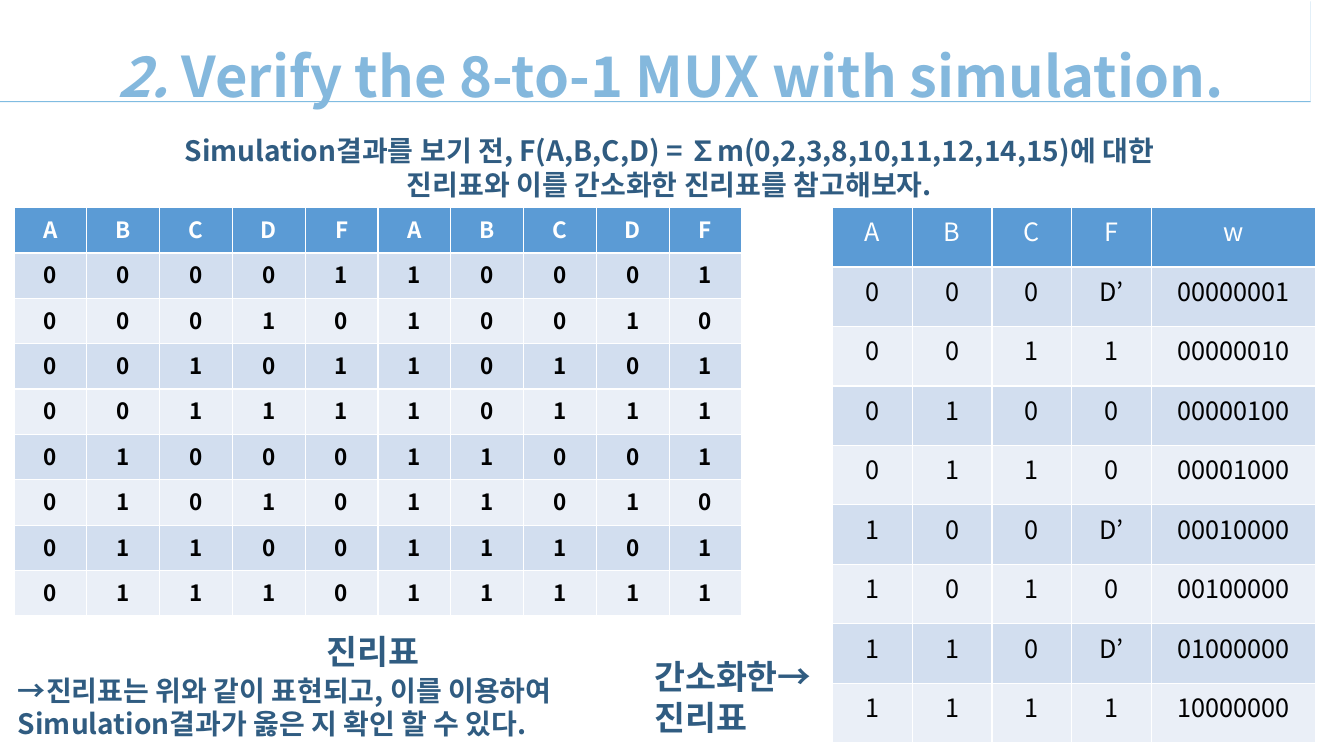
import pptx
import pptx.dml.color
import pptx.enum.text
import pptx.oxml
import pptx.util
from pptx.oxml.ns import nsdecls, qn

Inches = pptx.util.Inches
RGBColor = pptx.dml.color.RGBColor
ALIGN = pptx.enum.text.PP_ALIGN

FONT = "Noto Sans CJK KR"
WHITE = RGBColor(0xFF, 0xFF, 0xFF)
BLACK = RGBColor(0x00, 0x00, 0x00)
SKY = RGBColor(0x84, 0xB8, 0xDD)
NAVY = RGBColor(0x30, 0x5C, 0x81)
HEADER_BLUE = RGBColor(0x5B, 0x9B, 0xD5)
BANDS = [RGBColor(0xD2, 0xDE, 0xEF), RGBColor(0xEA, 0xEF, 0xF7)]

MINTERMS = {0, 2, 3, 8, 10, 11, 12, 14, 15}
SIMPLIFIED_F = ["D’", "1", "0", "0", "D’", "0", "D’", "1"]


def format_text(frame, size, color, bold, align):
    for para in frame.paragraphs:
        para.alignment = align
        for span in para.runs:
            span.font.size = pptx.util.Pt(size)
            span.font.bold = bold
            span.font.color.rgb = color
            span.font.name = FONT
            east_asian = span.font._element.makeelement(qn("a:ea"), {"typeface": FONT})
            span.font._element.find(qn("a:latin")).addnext(east_asian)


def add_truth_table(page, left, column_widths, row_height, rows, size, bold):
    table = page.shapes.add_table(
        len(rows), len(column_widths), Inches(left), Inches(2.06),
        Inches(sum(column_widths)), Inches(row_height * len(rows))).table
    for column, width in zip(table.columns, column_widths):
        column.width = Inches(width)
    for index, values in enumerate(rows):
        table.rows[index].height = Inches(row_height)
        for cell, value in zip(table.rows[index].cells, values):
            cell.text_frame.text = value
            cell.fill.solid()
            cell.fill.fore_color.rgb = BANDS[(index - 1) % 2] if index else HEADER_BLUE
            format_text(cell.text_frame, size, BLACK if index else WHITE, bold, ALIGN.CENTER)


deck = pptx.Presentation()
deck.slide_width, deck.slide_height = Inches(13.33), Inches(7.5)
page = deck.slides.add_slide(deck.slide_layouts[5])

# Header band with a small notch, edged by a thin shadow
builder = page.shapes.build_freeform(0, 0, scale=Inches(1))
builder.add_line_segments(
    [(13.33, 0), (13.33, 1.18), (7.01, 1.18), (6.67, 1.28), (6.33, 1.18), (0, 1.18)])
header = builder.convert_to_shape()
header.fill.solid()
header.fill.fore_color.rgb = WHITE
header.line.fill.background()
header._element.spPr.append(pptx.oxml.parse_xml(
    f'<a:effectLst {nsdecls("a")}><a:outerShdw blurRad="0" dist="12700" dir="5400000" '
    'algn="t" rotWithShape="0"><a:srgbClr val="80BCE1"/></a:outerShdw></a:effectLst>'))
page.shapes._spTree.insert(2, header._element)

title = page.shapes.title
title.left, title.top = Inches(1.07), Inches(0.23)
title.width, title.height = Inches(11.19), Inches(0.83)
title.text_frame.vertical_anchor = pptx.enum.text.MSO_ANCHOR.TOP
title.text_frame.auto_size = pptx.enum.text.MSO_AUTO_SIZE.SHAPE_TO_FIT_TEXT
heading = title.text_frame.paragraphs[0]
heading.line_spacing = 1.2
for words, italic in [("2. ", True), ("Verify the 8-to-1 MUX with simulation.", False)]:
    span = heading.add_run()
    span.text = words
    span.font.italic = italic
format_text(title.text_frame, 40, SKY, True, ALIGN.LEFT)

# Explanations: left, top, width, height, size, wrap, alignment, text
for left, top, width, height, size, wrap, align, words in [
    (0.08, 1.28, 13.12, 0.77, 20, True, ALIGN.CENTER,
     "Simulation결과를 보기 전, F(A,B,C,D) = ∑m(0,2,3,8,10,11,12,14,15)에 대한\n"
     "진리표와 이를 간소화한 진리표를 참고해보자."),
    (3.14, 6.21, 1.21, 0.5, 24, False, ALIGN.LEFT, "진리표"),
    (6.39, 6.46, 1.88, 0.91, 24, False, ALIGN.LEFT, "간소화한→\n진리표"),
    (0.08, 6.63, 6.35, 0.77, 20, False, ALIGN.LEFT,
     "→진리표는 위와 같이 표현되고, 이를 이용하여\n"
     "Simulation결과가 옳은 지 확인 할 수 있다."),
]:
    box = page.shapes.add_textbox(Inches(left), Inches(top), Inches(width), Inches(height))
    box.text_frame.word_wrap = wrap
    box.text_frame.auto_size = pptx.enum.text.MSO_AUTO_SIZE.SHAPE_TO_FIT_TEXT
    box.text_frame.text = words
    format_text(box.text_frame, size, NAVY, True, align)

# Full truth table in two halves: A = 0, then A = 1
for half in range(2):
    rows = ["ABCDF"]
    for number in range(8 * half, 8 * half + 8):
        rows.append(f"{number:04b}{int(number in MINTERMS)}")
    add_truth_table(page, 0.14 + 3.61 * half, [0.722] * 5, 0.45, rows, 16, True)

# Simplified table with a one-hot w column
rows = ["ABCFw"]
for number, output in enumerate(SIMPLIFIED_F):
    rows.append([*f"{number:03b}", output, f"{1 << number:08b}"])
add_truth_table(page, 8.26, [0.79] * 4 + [1.63], 0.59, rows, 18, False)

deck.save("out.pptx")
